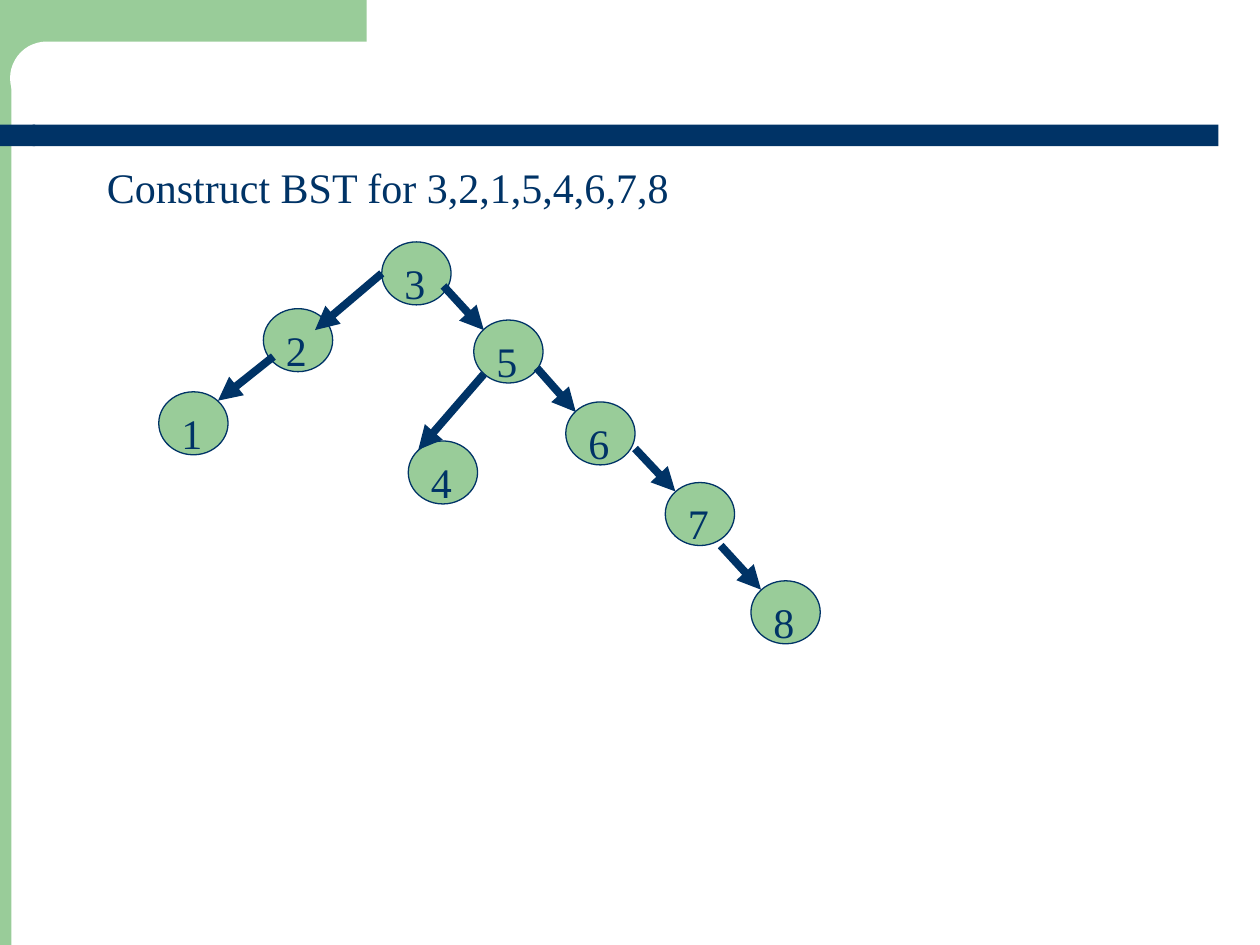
from lxml.etree import SubElement
from pptx import Presentation
from pptx.dml.color import RGBColor
from pptx.enum.shapes import MSO_CONNECTOR, MSO_SHAPE
from pptx.enum.text import MSO_ANCHOR, PP_ALIGN
from pptx.oxml.ns import qn
from pptx.util import Inches, Pt

GREEN, NAVY, WHITE = "99CC99", "003366", "FFFFFF"
NODE_WIDTH, NODE_HEIGHT = 0.55, 0.5

# Places are inches from the top left corner of the tree.
NODES = {
    "1": (0, 1.19), "2": (0.83, 0.53), "3": (1.77, 0), "4": (1.98, 1.58),
    "5": (2.5, 0.62), "6": (3.23, 1.27), "7": (4.02, 1.91), "8": (4.7, 2.69),
}
# The arrow drawn after each node: start and tip.
ARROWS = {
    "2": ((0.91, 0.91), (0.47, 1.26)),
    "3": ((1.77, 0.25), (1.24, 0.7)),
    "4": ((2.58, 1.05), (2.06, 1.65)),
    "5": ((2.26, 0.35), (2.58, 0.7)),
    "6": ((3, 1), (3.31, 1.35)),
    "7": ((3.78, 1.64), (4.1, 1.98)),
    "8": ((4.46, 2.41), (4.78, 2.76)),
}


def color(value):
    return RGBColor.from_string(value)


def write_text(shape, text, *, size=24, font="Times New Roman", fill=NAVY, wrap=True):
    frame = shape.text_frame
    frame.word_wrap = wrap
    frame.vertical_anchor = MSO_ANCHOR.TOP
    paragraph = frame.paragraphs[0]
    paragraph.alignment = PP_ALIGN.LEFT
    paragraph.space_before = Pt(3)
    run = paragraph.add_run()
    run.text = text
    run.font.size = Pt(size)
    run.font.name = font
    run.font.color.rgb = color(fill)


def add_filled(slide, kind, left, top, width, height, fill, line=None):
    shape = slide.shapes.add_shape(
        kind, Inches(left), Inches(top), Inches(width), Inches(height))
    shape.shadow.inherit = False
    shape.fill.solid()
    shape.fill.fore_color.rgb = color(fill)
    if line:
        shape.line.color.rgb = color(line)
        shape.line.width = Pt(0.75)
    else:
        shape.line.fill.background()
    return shape


def add_arrow(slide, start, tip):
    arrow = slide.shapes.add_connector(
        MSO_CONNECTOR.STRAIGHT, *(Inches(length) for length in (*start, *tip)))
    arrow.line.color.rgb = color(NAVY)
    arrow.line.width = Pt(4.5)
    SubElement(arrow.line._get_or_add_ln(), qn("a:tailEnd"), type="triangle")
    SubElement(arrow._element.spPr, qn("a:effectLst"))


def add_corner_frame(slide, left, top, height):
    """Green side and top bands with a white rounded inner corner."""
    add_filled(slide, MSO_SHAPE.RECTANGLE, left, top, 0.67, height, GREEN)
    add_filled(slide, MSO_SHAPE.RECTANGLE, left + 0.41, top, 3.08, 0.58, GREEN)
    corner = add_filled(slide, MSO_SHAPE.ROUNDED_RECTANGLE,
                        left + 0.66, top + 0.33, 5.58, 0.58, WHITE)
    corner.adjustments[0] = 0.5


def add_title_rule(slide, left, top, width, height):
    cap_width = 0.53
    bar_left = left + cap_width - 0.02
    bar = add_filled(slide, MSO_SHAPE.ROUNDED_RECTANGLE, bar_left, top,
                     left + width - bar_left, height, NAVY)
    bar.adjustments[0] = 0
    cap = add_filled(slide, MSO_SHAPE.FLOWCHART_DELAY, left, top, cap_width, height, NAVY)
    cap._element.spPr.xfrm.set("flipH", "1")


def add_heading(slide, left, top, width, height):
    box = slide.shapes.add_textbox(
        Inches(left), Inches(top), Inches(width), Inches(height))
    write_text(box, "Construct BST for 3,2,1,5,4,6,7,8")


def add_tree(slide, left, top):
    def place(point):
        return left + point[0], top + point[1]

    for label, corner in NODES.items():
        node = add_filled(slide, MSO_SHAPE.OVAL, *place(corner),
                          NODE_WIDTH, NODE_HEIGHT, GREEN, line=NAVY)
        write_text(node, label, wrap=False)
        if label in ARROWS:
            start, tip = ARROWS[label]
            add_arrow(slide, place(start), place(tip))


def main():
    presentation = Presentation()
    presentation.slide_width = Inches(10)
    presentation.slide_height = Inches(7.5)
    slide = presentation.slides.add_slide(presentation.slide_layouts[6])
    add_corner_frame(slide, -0.58, 0, 7.5)
    add_title_rule(slide, -0.25, 0.99, 9.92, 0.17)
    add_heading(slide, 0.75, 1.23, 8.58, 0.5)
    add_tree(slide, 1.26, 1.92)
    presentation.save("out.pptx")


if __name__ == "__main__":
    main()
